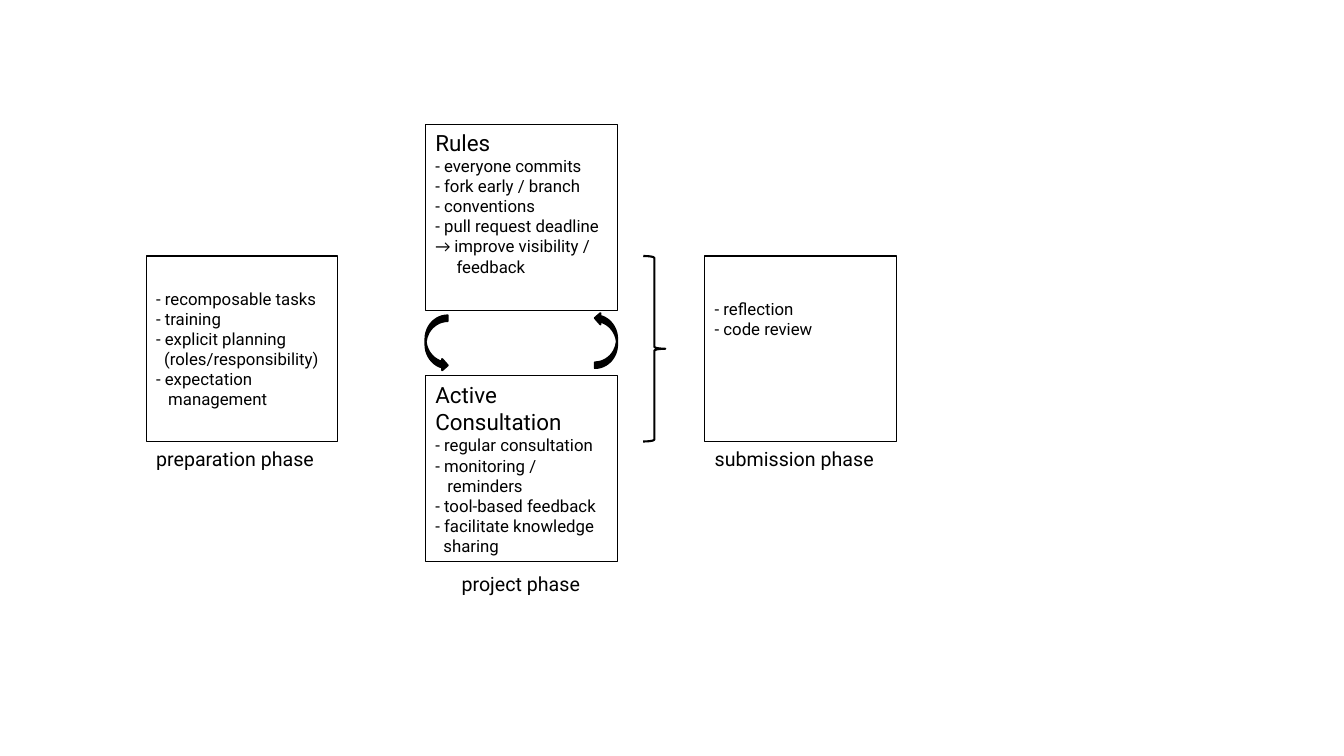
from pptx import Presentation
from pptx.dml.color import RGBColor
from pptx.enum.shapes import MSO_SHAPE as Shape
from pptx.enum.text import MSO_ANCHOR as Anchor, MSO_AUTO_SIZE as Auto, PP_ALIGN as Align
from pptx.util import Inches, Pt

BLACK = RGBColor(0, 0, 0)
FONT = "Roboto"
BOX_W, BOX_H = 1.9, 1.84
STEP = 2.77                      # distance between columns
LEFT, MID, RIGHT = (1.45 + STEP * i for i in range(3))
ROW = 2.54                       # top of the outer boxes
RULES_TOP, ACTIVE_TOP = 1.24, 3.73
SIDE_W = 0.22                    # width of arrows and brace

# Each line is its text and its indent in inches
PREPARE = [("- recomposable tasks", 0), ("- training", 0),
           ("- explicit planning", 0), ("(roles/responsibility)", 0.08),
           ("- expectation", 0), ("management", 0.12)]
RULES = [("- everyone commits", 0), ("- fork early / branch", 0),
         ("- conventions", 0), ("- pull request deadline", 0),
         ("→ improve visibility /", 0), ("feedback", 0.21)]
ACTIVE = [("- regular consultation", 0), ("- monitoring /", 0),
          ("reminders", 0.12), ("- tool-based feedback", 0),
          ("- facilitate knowledge", 0), ("sharing", 0.08)]
SUBMIT = [("- reflection", 0), ("- code review", 0)]


def style(run, size, font=FONT):
    run.font.size = Pt(size)
    run.font.name = font
    run.font.color.rgb = BLACK


def add_mark(slide, kind, x, y, w, h, weight, solid=False):
    mark = slide.shapes.add_shape(kind, Inches(x), Inches(y), Inches(w), Inches(h))
    mark.shadow.inherit = False
    if solid:
        mark.fill.solid()
        mark.fill.fore_color.rgb = BLACK
    else:
        mark.fill.background()
    mark.line.color.rgb = BLACK
    mark.line.width = Pt(weight)
    return mark


def add_box(slide, x, y, lines, title=None, space=0):
    """Outlined box; space is the extra room kept free below the text."""
    box = add_mark(slide, Shape.FLOWCHART_PROCESS, x, y, BOX_W, BOX_H, 0.75)
    frame = box.text_frame
    frame.word_wrap = True
    frame.vertical_anchor = Anchor.MIDDLE
    frame.margin_bottom = Inches(0.05 + space)
    rows = [(text, indent, 12) for text, indent in lines]
    if title:
        rows.insert(0, (title, 0, 16))
    for i, (text, indent, size) in enumerate(rows):
        para = frame.paragraphs[0] if i == 0 else frame.add_paragraph()
        para.alignment = Align.LEFT
        if indent:
            para._p.get_or_add_pPr().set("marL", str(Inches(indent)))
        if text.startswith("→ "):
            arrow = para.add_run()
            arrow.text = "→ "
            style(arrow, size, "Calibri")
            text = text[2:]
        run = para.add_run()
        run.text = text
        style(run, size)


def add_label(slide, x, y, text):
    label = slide.shapes.add_textbox(Inches(x), Inches(y), Inches(BOX_W), Inches(0.34))
    frame = label.text_frame
    frame.word_wrap = True
    frame.auto_size = Auto.SHAPE_TO_FIT_TEXT
    frame.text = text
    style(frame.paragraphs[0].runs[0], 14)


def add_outer(slide, x, lines, label, space=0):
    """Box of the first or last phase, with its label below."""
    add_box(slide, x, ROW, lines, space=space)
    add_label(slide, x, ROW + BOX_H, label)


def add_project(slide, x):
    """Two boxes joined by a cycle, with the label and closing brace."""
    add_box(slide, x, ACTIVE_TOP, ACTIVE, "Active Consultation")
    add_box(slide, x, RULES_TOP, RULES, "Rules", space=0.3)
    ends = [(x, 3.13, 0), (x + BOX_W - SIDE_W, 3.1, 180)]
    for left, top, turn in ends:
        arrow = add_mark(slide, Shape.CURVED_RIGHT_ARROW, left, top, SIDE_W, 0.55, 1.5, True)
        arrow.rotation = turn
    add_mark(slide, Shape.RIGHT_BRACE, x + 2.16, ROW, SIDE_W, BOX_H, 1.5)
    add_label(slide, x + 0.26, ACTIVE_TOP + BOX_H + 0.05, "project phase")


def main():
    deck = Presentation()
    deck.slide_width, deck.slide_height = Inches(13.33), Inches(7.5)
    slide = deck.slides.add_slide(deck.slide_layouts[6])
    add_outer(slide, LEFT, PREPARE, "preparation phase")
    add_project(slide, MID)
    add_outer(slide, RIGHT, SUBMIT, "submission phase", space=0.6)
    deck.save("out.pptx")


if __name__ == "__main__":
    main()
